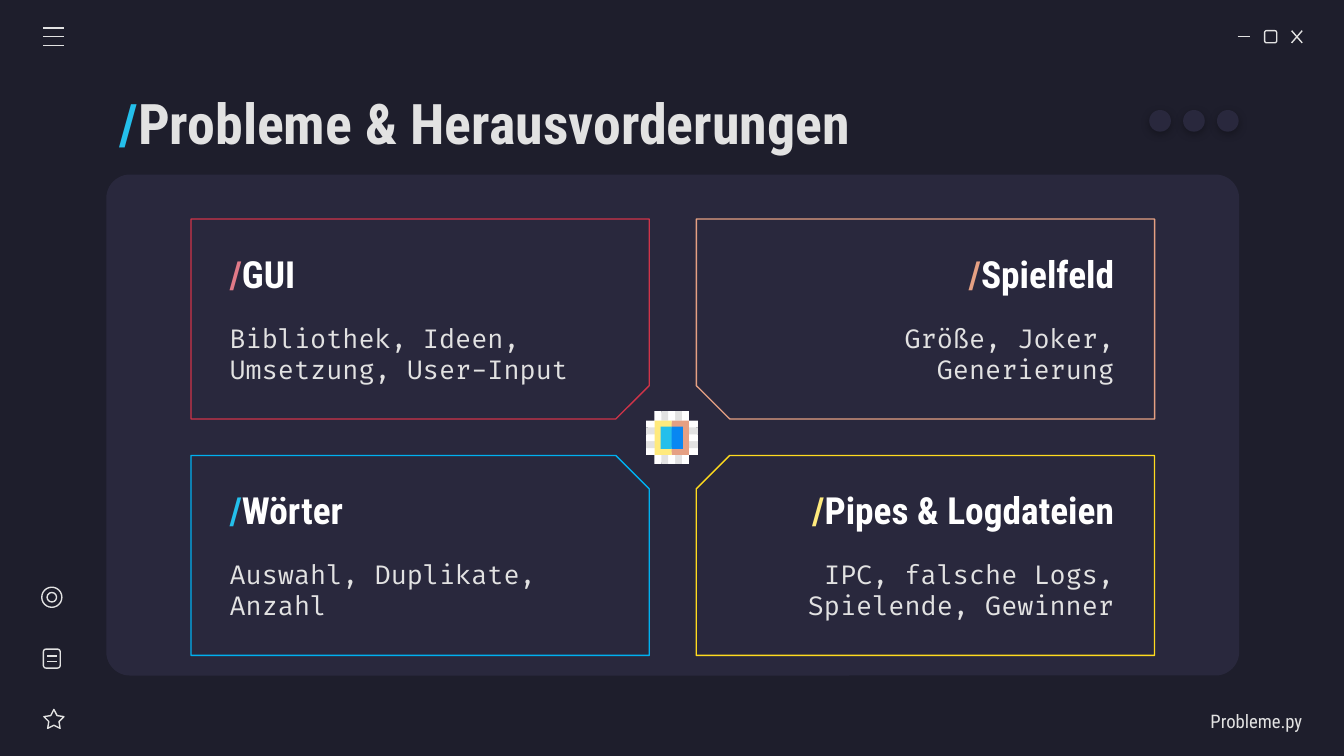
from dataclasses import dataclass

from lxml.etree import SubElement
from pptx import Presentation
from pptx.dml.color import RGBColor
from pptx.enum.shapes import MSO_CONNECTOR, MSO_SHAPE as SHAPE
from pptx.enum.text import MSO_ANCHOR, MSO_AUTO_SIZE, PP_ALIGN as ALIGN
from pptx.oxml.ns import qn
from pptx.util import Cm, Pt

COLORS = {
    "background": "1E1E2C", "panel": "29283D", "text": "E2E2E2", "white": "FFFFFF",
    "cyan": "24BFEB", "blue": "0887F2", "orange": "E5A083", "yellow": "FFEA7D",
    "rose": "E07A88", "red_edge": "D03449", "blue_edge": "00B0F0", "yellow_edge": "FFDB1E",
}
HEAD_FONT, BODY_FONT = "Roboto Condensed", "Fira Code"
CARD_W, CARD_H = 8.66, 3.78
TEXT_W, INSET = 7.52, 0.25
Box = tuple[float, float, float, float]  # left, top, width, height


@dataclass
class Card:
    heading: str
    body: str
    slash: str
    edge: str
    right: bool
    lower: bool


CARDS = [
    Card("GUI", "Bibliothek, Ideen, Umsetzung, User-Input", "rose", "red_edge", False, False),
    Card("Wörter", "Auswahl, Duplikate, Anzahl", "cyan", "blue_edge", False, True),
    Card("Spielfeld", "Größe, Joker, Generierung", "orange", "orange", True, False),
    Card("Pipes & Logdateien", "IPC, falsche Logs, Spielende, Gewinner",
         "yellow", "yellow_edge", True, True),
]


def rgb(name: str) -> RGBColor:
    return RGBColor.from_string(COLORS[name])


def paint(sp, fill: str | None = None, line: str | None = None) -> None:
    sp.shadow.inherit = False
    if fill:
        sp.fill.solid()
        sp.fill.fore_color.rgb = rgb(fill)
    else:
        sp.fill.background()
    if line:
        sp.line.color.rgb = rgb(line)
        sp.line.width = Pt(0.75)
    else:
        sp.line.fill.background()


def add_shape(shapes, kind, box: Box, fill=None, line=None, adj=None):
    sp = shapes.add_shape(kind, *map(Cm, box))
    paint(sp, fill, line)
    if adj is not None:
        sp.adjustments[0] = adj
    return sp


def add_line(shapes, x1: float, y1: float, x2: float, y2: float) -> None:
    c = shapes.add_connector(MSO_CONNECTOR.STRAIGHT, Cm(x1), Cm(y1), Cm(x2), Cm(y2))
    c.line.color.rgb = rgb("text")
    c.line.width = Pt(0.75)
    SubElement(c._element.spPr, qn("a:effectLst"))


def style_run(r, size: float, font: str, color: str, bold: bool) -> None:
    r.font.size, r.font.name, r.font.bold = Pt(size), font, bold
    r.font.color.rgb = rgb(color)


def write(sp, box: Box, text: str, size: float, font=HEAD_FONT, color="text",
          align=ALIGN.LEFT, slash: str | None = None) -> None:
    """Place a text shape; a slash colour puts a bold "/" before bold text."""
    sp.left, sp.top, sp.width, sp.height = map(Cm, box)
    tf = sp.text_frame
    tf.word_wrap, tf.auto_size = True, MSO_AUTO_SIZE.NONE
    tf.vertical_anchor = MSO_ANCHOR.MIDDLE
    tf.margin_left = tf.margin_right = tf.margin_top = tf.margin_bottom = Cm(INSET)
    p = tf.paragraphs[0]
    p.alignment = align
    p.text = "/" if slash else text
    style_run(p.runs[0], size, font, slash or color, bool(slash))
    if slash:
        r = p.add_run()
        r.text = text
        style_run(r, size, font, color, True)


def add_card(shapes, card: Card) -> None:
    """Draw a frame whose snipped corner faces the centre, with its texts."""
    x, y = (13.16 if card.right else 3.61), (8.61 if card.lower else 4.14)
    frame = add_shape(shapes, SHAPE.SNIP_1_RECTANGLE, (x, y, CARD_W, CARD_H),
                      line=card.edge, adj=0.167)
    if not card.lower:
        frame.rotation = 180
    if card.right == card.lower:
        frame._element.spPr.xfrm.set("flipH", "1")
    text_x = 13.79 if card.right else 4.09
    align = ALIGN.RIGHT if card.right else ALIGN.LEFT
    heading, body = (shapes.add_textbox(0, 0, 0, 0) for _ in range(2))
    write(heading, (text_x, y + 0.47, TEXT_W, 1.12), card.heading, 20,
          color="white", align=align, slash=card.slash)
    write(body, (text_x, y + 1.74, TEXT_W, 1.6), card.body, 14, BODY_FONT, align=align)


def add_block(shapes, box: Box, color: str, tip_left: float = 0, tip_top: float = 0) -> None:
    """Draw a block whose left or top side may bulge under its neighbour."""
    x, y, w, h = box
    points = [(x, y), (x + w / 2, y - tip_top), (x + w, y), (x + w, y + h),
              (x, y + h), (x - tip_left, y + h / 2)]
    points = [(Cm(px), Cm(py)) for px, py in points]
    builder = shapes.build_freeform(*points[0])
    builder.add_line_segments(points[1:], close=True)
    paint(builder.convert_to_shape(), color)


def add_emblem(shapes) -> None:
    left, top, side, step = 12.37, 7.95, 0.65, 0.13
    for upright in (True, False):
        for i in reversed(range(5)):
            color = "text" if i % 2 else "white"
            tip = 0.04 if i else 0
            if upright:
                add_block(shapes, (left + i * step, 7.77, step, 1), color, tip_left=tip)
            else:
                add_block(shapes, (12.21, top + i * step, 0.98, step), color, tip_top=tip)
    middle = left + side / 2
    for half, height, left_color, right_color in (
            (side / 2, side, "yellow", "orange"), (0.21, 0.42, "cyan", "blue")):
        y = top + (side - height) / 2
        add_block(shapes, (middle, y, half, height), right_color, tip_left=0.05)
        add_block(shapes, (middle - half, y, half, height), left_color)


def add_window_buttons(shapes) -> None:
    add_line(shapes, 23.39, 0.69, 23.62, 0.69)
    add_shape(shapes, SHAPE.ROUNDED_RECTANGLE, (23.9, 0.58, 0.23, 0.23), line="text")
    add_line(shapes, 24.41, 0.58, 24.61, 0.81)
    add_line(shapes, 24.61, 0.58, 24.41, 0.81)


def add_side_icons(shapes) -> None:
    add_shape(shapes, SHAPE.STAR_5_POINT, (0.83, 13.41, 0.38, 0.36), line="text", adj=0.254)
    add_shape(shapes, SHAPE.ROUNDED_RECTANGLE, (0.82, 12.27, 0.32, 0.36), line="text")
    for y in (12.4, 12.5):
        add_line(shapes, 0.89, y, 1.07, y)
    for d in (0.38, 0.18):
        add_shape(shapes, SHAPE.OVAL, (0.98 - d / 2, 11.29 - d / 2, d, d), line="text")


def add_dots(shapes) -> None:
    for i in range(3):
        dot = add_shape(shapes, SHAPE.OVAL, (21.72 + i * 0.64, 2.08, 0.41, 0.41), "panel")
        effects = dot._element.spPr.find(qn("a:effectLst"))
        shadow = SubElement(effects, qn("a:outerShdw"), blurRad=str(Pt(4.5)),
                            dist=str(Pt(1.5)), dir="5400000", algn="bl", rotWithShape="0")
        black = SubElement(shadow, qn("a:srgbClr"), val="000000")
        SubElement(black, qn("a:alpha"), val="30000")


def main() -> None:
    prs = Presentation()
    prs.slide_width, prs.slide_height = Cm(25.4), Cm(14.29)
    s = prs.slides.add_slide(prs.slide_layouts[0])
    s.background.fill.solid()
    s.background.fill.fore_color.rgb = rgb("background")

    add_shape(s.shapes, SHAPE.ROUNDED_RECTANGLE, (2.01, 3.3, 21.41, 9.47), "panel", adj=0.047)
    write(s.shapes.title, (2.01, 1.5, 20.02, 1.6), "Probleme & Herausvorderungen",
          30, slash="cyan")
    file_name = s.placeholders[1]
    write(file_name, (21.64, 13.21, 2.97, 0.76), "Probleme.py", 10, align=ALIGN.RIGHT)
    file_name.text_frame.margin_right = 0
    file_name.text_frame.paragraphs[0].line_spacing = 1.15

    add_window_buttons(s.shapes.add_group_shape().shapes)
    menu = s.shapes.add_group_shape().shapes
    for y in (0.53, 0.69, 0.86):
        add_line(menu, 0.82, y, 1.21, y)
    add_side_icons(s.shapes.add_group_shape().shapes)
    add_dots(s.shapes.add_group_shape().shapes)
    for card in CARDS:
        add_card(s.shapes, card)
    add_emblem(s.shapes.add_group_shape().shapes)
    prs.save("out.pptx")


if __name__ == "__main__":
    main()
